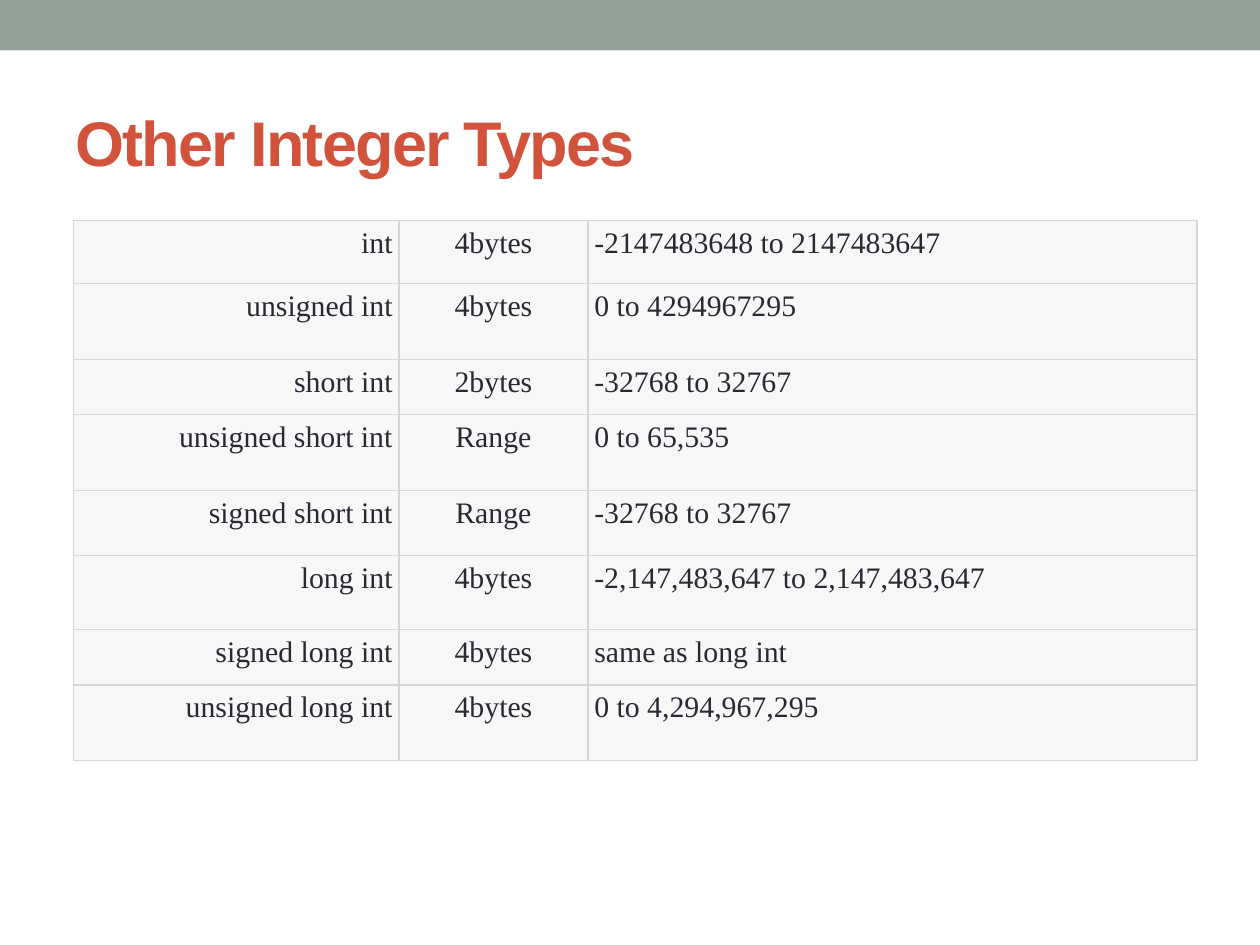
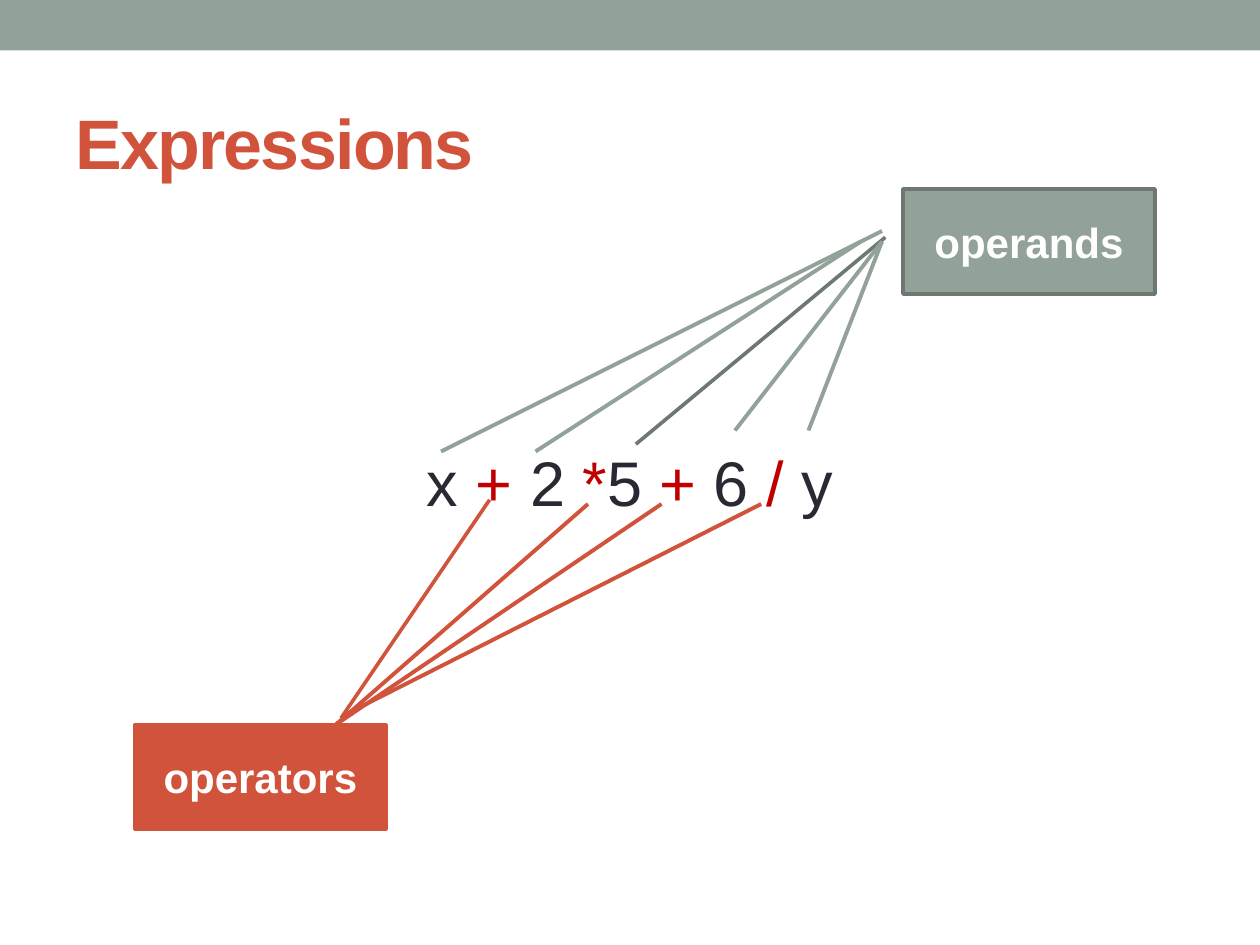
from dataclasses import dataclass

from lxml import etree
from pptx import Presentation
from pptx import util as u
from pptx.dml.color import RGBColor
from pptx.enum import shapes, text
from pptx.oxml.ns import qn


@dataclass(frozen=True)
class Theme:
    """Colours, fonts and type sizes shared by the slides."""
    sage: str = "93A299"
    sage_dark: str = "6D7871"
    rust: str = "D2533C"
    red: str = "C00000"
    ink: str = "292934"
    white: str = "FFFFFF"
    cell: str = "F7F7F7"
    rule: str = "D6D6D6"
    sans: str = "Arial"
    serif: str = "Times New Roman"
    title: int = 36
    title_large: int = 40
    formula: int = 36
    label: int = 24
    table: int = 17
    border: float = 0.75
    outline: float = 2.08
    ray: float = 2.25


class Deck:
    """Draws styled elements on the current slide, on a grid of 120 by 90."""
    COLS, ROWS = 120, 90

    def __init__(self, theme):
        """Start an empty 10 by 7.5 inch presentation."""
        self.t = theme
        self.prs = Presentation()
        self.prs.slide_width, self.prs.slide_height = u.Inches(10), u.Inches(7.5)
        self.s = None

    def x(self, cols):
        """Return the length of a number of columns."""
        return u.Emu(round(self.prs.slide_width * cols / self.COLS))

    def y(self, rows):
        """Return the length of a number of rows."""
        return u.Emu(round(self.prs.slide_height * rows / self.ROWS))

    def box(self, left, top, width, height):
        """Turn grid units into a position and a size."""
        return self.x(left), self.y(top), self.x(width), self.y(height)

    def run(self, p, words, size, color, font=None, bold=False):
        """Add one styled run to a paragraph."""
        r = p.add_run()
        r.text = words
        r.font.name = font or self.t.sans
        r.font.size = u.Pt(size)
        r.font.bold = bold
        r.font.color.rgb = RGBColor.from_string(color)
        return r

    def paint(self, sp, fill, line=None):
        """Give a shape a flat fill and an optional outline."""
        sp.shadow.inherit = False
        sp.fill.solid()
        sp.fill.fore_color.rgb = RGBColor.from_string(fill)
        if line:
            sp.line.color.rgb = RGBColor.from_string(line)
            sp.line.width = u.Pt(self.t.outline)
        else:
            sp.line.fill.background()

    def slide(self, heading, size):
        """Add a slide with the top band and its title."""
        self.s = self.prs.slides.add_slide(self.prs.slide_layouts[6])
        band = self.s.shapes.add_shape(
            shapes.MSO_SHAPE.RECTANGLE, *self.box(0, 0, self.COLS, 4.8))
        self.paint(band, self.t.sage)
        tf = self.s.shapes.add_textbox(*self.box(6, 7, 108, 13)).text_frame
        tf.word_wrap = True
        tf.vertical_anchor = text.MSO_ANCHOR.MIDDLE
        r = self.run(tf.paragraphs[0], heading, size, self.t.rust, bold=True)
        r.font._element.set("spc", "-100")

    def border(self, cell):
        """Rule all four sides of a table cell."""
        tc_pr = cell._tc.get_or_add_tcPr()
        for side in "LRTB":
            ln = etree.SubElement(tc_pr, qn(f"a:ln{side}"), w=str(u.Pt(self.t.border)))
            fill = etree.SubElement(ln, qn("a:solidFill"))
            etree.SubElement(fill, qn("a:srgbClr"), val=self.t.rule)

    def table(self, left, top, widths, heights, rows, aligns):
        """Add a ruled table with one alignment per column."""
        frame = self.s.shapes.add_table(
            len(rows), len(widths), *self.box(left, top, sum(widths), sum(heights)))
        tbl = frame.table
        tbl.first_row = tbl.horz_banding = False
        for col, width in zip(tbl.columns, widths):
            col.width = self.x(width)
        for row, height, words in zip(tbl.rows, heights, rows):
            row.height = self.y(height)
            for cell, word, align in zip(row.cells, words, aligns):
                cell.margin_left = cell.margin_right = u.Inches(0.05)
                cell.margin_top = cell.margin_bottom = u.Inches(0.05)
                self.border(cell)
                cell.fill.solid()
                cell.fill.fore_color.rgb = RGBColor.from_string(self.t.cell)
                p = cell.text_frame.paragraphs[0]
                p.alignment = align
                self.run(p, word, self.t.table, self.t.ink, self.t.serif)

    def formula(self, left, top, width, height, parts):
        """Add a centred expression from pairs of words and colour."""
        tf = self.s.shapes.add_textbox(*self.box(left, top, width, height)).text_frame
        tf.word_wrap = True
        tf.margin_top = u.Inches(0.1)
        p = tf.paragraphs[0]
        p.alignment = text.PP_ALIGN.CENTER
        for words, color in parts:
            self.run(p, words, self.t.formula, color)

    def callout(self, left, top, label, fill, line, leader):
        """Add a labelled box with a leader line."""
        sp = self.s.shapes.add_shape(
            shapes.MSO_SHAPE.LINE_CALLOUT_1, *self.box(left, top, 24, 10))
        for i, share in enumerate(leader):
            sp.adjustments[i] = share
        self.paint(sp, fill, line)
        tf = sp.text_frame
        tf.word_wrap = True
        tf.vertical_anchor = text.MSO_ANCHOR.MIDDLE
        p = tf.paragraphs[0]
        p.alignment = text.PP_ALIGN.CENTER
        self.run(p, label, self.t.label, self.t.white, bold=True)

    def rays(self, color, ends):
        """Add straight lines between pairs of grid points."""
        for x1, y1, x2, y2 in ends:
            sp = self.s.shapes.add_connector(
                shapes.MSO_CONNECTOR.STRAIGHT,
                self.x(x1), self.y(y1), self.x(x2), self.y(y2))
            sp.line.color.rgb = RGBColor.from_string(color)
            sp.line.width = u.Pt(self.t.ray)
            etree.SubElement(sp._element.spPr, qn("a:effectLst"))


INTEGER_TYPES = [
    ("int", "4bytes", "-2147483648 to 2147483647"),
    ("unsigned int", "4bytes", "0 to 4294967295"),
    ("short int", "2bytes", "-32768 to 32767"),
    ("unsigned short int", "Range", "0 to 65,535"),
    ("signed short int", "Range", "-32768 to 32767"),
    ("long int", "4bytes", "-2,147,483,647 to 2,147,483,647"),
    ("signed long int", "4bytes", "same as long int"),
    ("unsigned long int", "4bytes", "0 to 4,294,967,295"),
]


def integer_types(deck):
    """Build the table of integer types."""
    deck.slide("Other Integer Types", deck.t.title)
    al = text.PP_ALIGN
    deck.table(7, 21, (31, 18, 58), (6, 7.2, 5.3, 7.2, 6.25, 7, 5.3, 7.2),
               INTEGER_TYPES, (al.RIGHT, al.CENTER, al.LEFT))


def expressions(deck):
    """Build the diagram of operands and operators."""
    t = deck.t
    deck.slide("Expressions", t.title_large)
    tokens = ("x ", "+", " 2 ", "*", "5 ", "+", " 6 ", "/", " y")
    deck.formula(6, 41, 108, 10,
                 [(w, t.red if i % 2 else t.ink) for i, w in enumerate(tokens)])
    deck.callout(86, 18, "operands", t.sage, t.sage_dark, (0.46, -0.07, 2.43, -1.06))
    deck.rays(t.sage, [(42, 43, 84, 22), (51, 43, 82, 23),
                       (70, 41, 84, 23), (77, 41, 84, 23)])
    deck.callout(12.8, 69, "operators", t.rust, t.rust, (-0.06, 0.82, -2.14, 1.41))
    deck.rays(t.rust, [(32, 69, 56, 48), (32, 69, 63, 48), (33, 68, 72.5, 48)])


def main():
    """Build both slides and save them."""
    deck = Deck(Theme())
    integer_types(deck)
    expressions(deck)
    deck.prs.save("out.pptx")


if __name__ == "__main__":
    main()
